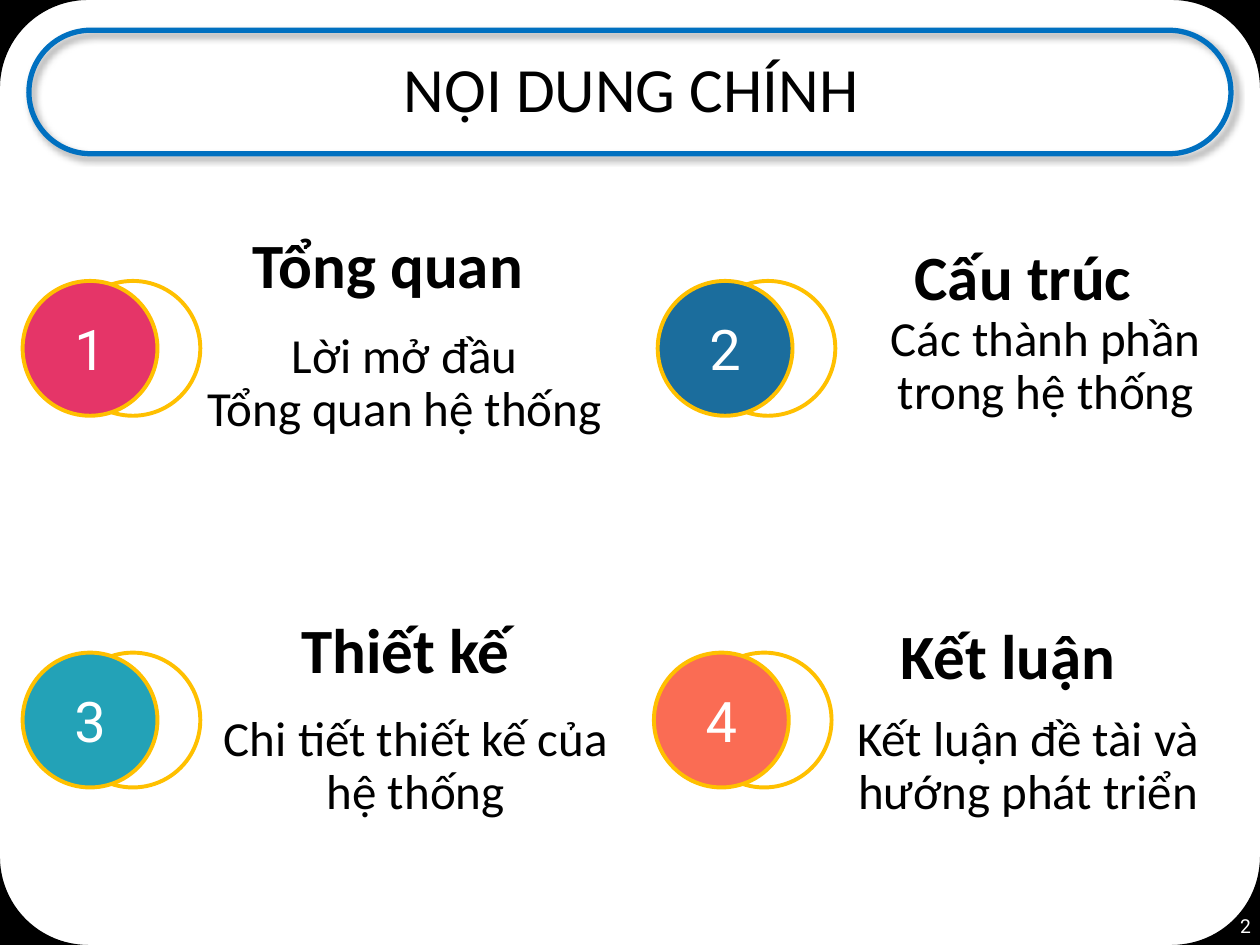
from dataclasses import dataclass
from math import cos, pi, sin

from lxml import etree
from pptx import Presentation
from pptx.dml.color import RGBColor
from pptx.enum.shapes import MSO_SHAPE as Shape
from pptx.enum.text import MSO_ANCHOR as Anchor, PP_ALIGN as Align
from pptx.oxml import parse_xml
from pptx.oxml.ns import nsdecls
from pptx.util import Inches, Pt

WIDTH, HEIGHT = 10, 7.5


@dataclass(frozen=True)
class Theme:
    black: str = "000000"
    white: str = "FFFFFF"
    frame: str = "0070C0"
    ring: str = "FFC000"
    body_font: str = "Calibri"
    number_font: str = "Roboto"
    heading_size: int = 36
    number_size: int = 32
    body_size: int = 28
    page_size: int = 11


@dataclass(frozen=True)
class Section:
    number: str
    color: str
    disc_at: tuple
    heading: str
    heading_box: tuple
    text: str
    text_box: tuple


THEME = Theme()
SECTIONS = [
    Section("1", "E53568", (0.18, 2.23), "Tổng quan", (1.38, 1.86, 3.4, 0.54),
            "Lời mở đầu\vTổng quan hệ thống", (1.46, 2.5, 3.5, 1.25)),
    Section("2", "1B6D9D", (5.22, 2.23), "Cấu trúc", (6.42, 1.95, 3.4, 0.54),
            "Các thành phần trong hệ thống", (6.6, 2.36, 3.4, 1.25)),
    Section("3", "23A2B7", (0.18, 5.18), "Thiết kế", (1.52, 4.91, 3.4, 0.54),
            "Chi tiết thiết kế của hệ thống", (1.62, 5.54, 3.36, 1.25)),
    Section("4", "FA6C54", (5.19, 5.18), "Kết luận", (6.3, 4.96, 3.4, 0.54),
            "Kết luận đề tài và hướng phát triển", (6.46, 5.54, 3.4, 1.25)),
]


def inches(values):
    return [Inches(value) for value in values]


def write(frame, text, size, color=THEME.black, font=THEME.body_font,
          bold=False, anchor=Anchor.MIDDLE, inset=None, spacing=None):
    """Fill a text frame with one centred paragraph."""
    frame.word_wrap = True
    frame.vertical_anchor = anchor
    if inset is not None:
        frame.margin_left = frame.margin_right = Inches(inset)
        frame.margin_top = frame.margin_bottom = Inches(inset)
    para = frame.paragraphs[0]
    para.text = text
    para.alignment = Align.CENTER
    para.line_spacing = spacing
    para.font.size = Pt(size)
    para.font.name = font
    para.font.bold = bold
    para.font.color.rgb = RGBColor.from_string(color)


def style(shape, fill=None, line=None, width=0):
    shape.shadow.inherit = False
    if fill:
        shape.fill.solid()
        shape.fill.fore_color.rgb = RGBColor.from_string(fill)
    else:
        shape.fill.background()
    if line:
        shape.line.color.rgb = RGBColor.from_string(line)
        shape.line.width = Pt(width)
    else:
        shape.line.fill.background()


def add_text(page, box, text, size, **options):
    write(page.shapes.add_textbox(*inches(box)).text_frame, text, size, **options)


def add_title_frame(page):
    frame = page.shapes.add_shape(Shape.ROUNDED_RECTANGLE,
                                  *inches((0.23, 0.24, 9.54, 0.98)))
    frame.adjustments[0] = 0.5
    style(frame, line=THEME.frame, width=3)
    effects = frame.element.spPr.find("{*}effectLst")
    effects.append(parse_xml(
        f'<a:outerShdw {nsdecls("a")} blurRad="{Pt(4)}" dist="{Pt(3)}" '
        f'dir="2700000" algn="tl" rotWithShape="0"><a:srgbClr val="{THEME.black}">'
        '<a:alpha val="40000"/></a:srgbClr></a:outerShdw>'))


def add_corner(page, x, y, radius=0.7, steps=24):
    """Fill the area between a slide corner and a quarter circle."""
    toward_x = 1 if x == 0 else -1
    toward_y = 1 if y == 0 else -1
    arc = []
    for step in range(steps + 1):
        angle = pi / 2 * step / steps
        arc.append((Inches(x + toward_x * radius * (1 - sin(angle))),
                    Inches(y + toward_y * radius * (1 - cos(angle)))))
    builder = page.shapes.build_freeform(Inches(x), Inches(y))
    builder.add_line_segments(arc, close=True)
    style(builder.convert_to_shape(), fill=THEME.black)


def add_badge(page, section, size=1.07, shift=0.34):
    """Group a numbered disc with the ring behind it."""
    left, top = section.disc_at
    group = page.shapes.add_group_shape()
    for offset, fill in ((shift, None), (0, section.color)):
        disc = group.shapes.add_shape(
            Shape.OVAL, *inches((left + offset, top, size, size)))
        style(disc, fill=fill, line=THEME.ring, width=2.25)
    write(disc.text_frame, section.number, THEME.number_size, color=THEME.white,
          font=THEME.number_font, inset=0.1)


def add_section(page, section):
    add_text(page, section.text_box, section.text, THEME.body_size,
             anchor=Anchor.TOP, inset=0.13, spacing=0.9)
    add_text(page, section.heading_box, section.heading, THEME.heading_size,
             bold=True, inset=0.13, spacing=0.9)
    add_badge(page, section)


def set_title(page, text):
    title = page.shapes.title
    title.left, title.top, title.width, title.height = inches((0.7, 0.31, 8.62, 0.84))
    write(title.text_frame, text, THEME.heading_size, spacing=0.9)


def main():
    deck = Presentation()
    deck.slide_width, deck.slide_height = inches((WIDTH, HEIGHT))
    page = deck.slides.add_slide(deck.slide_layouts[5])
    add_title_frame(page)
    for y in (0, HEIGHT):
        for x in (0, WIDTH):
            add_corner(page, x, y)
    set_title(page, "NỘI DUNG CHÍNH")
    add_text(page, (8.76, 7.15, 2.25, 0.4), "2", THEME.page_size,
             color=THEME.white, font=THEME.number_font)
    for section in SECTIONS:
        add_section(page, section)
    deck.save("out.pptx")


if __name__ == "__main__":
    main()
